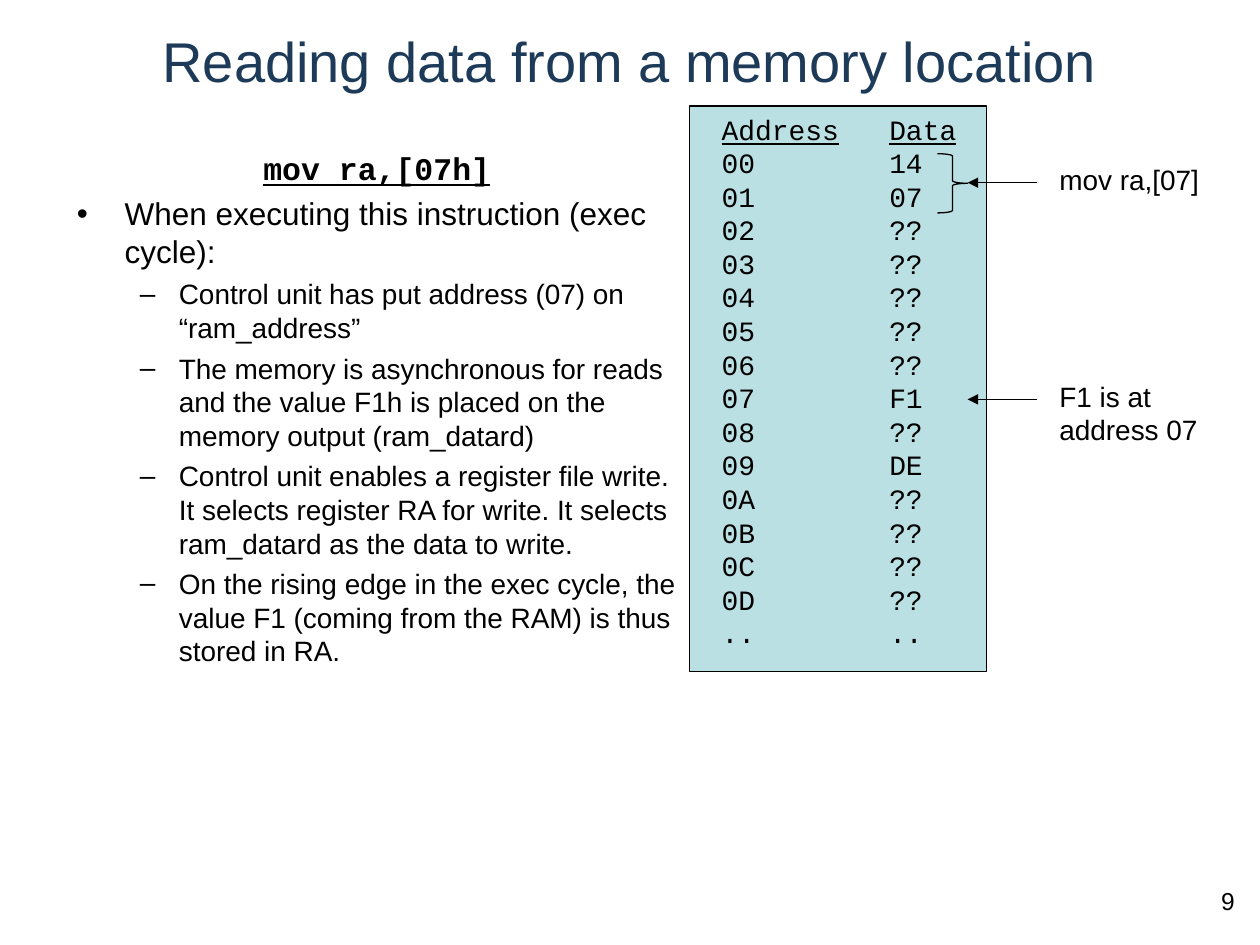
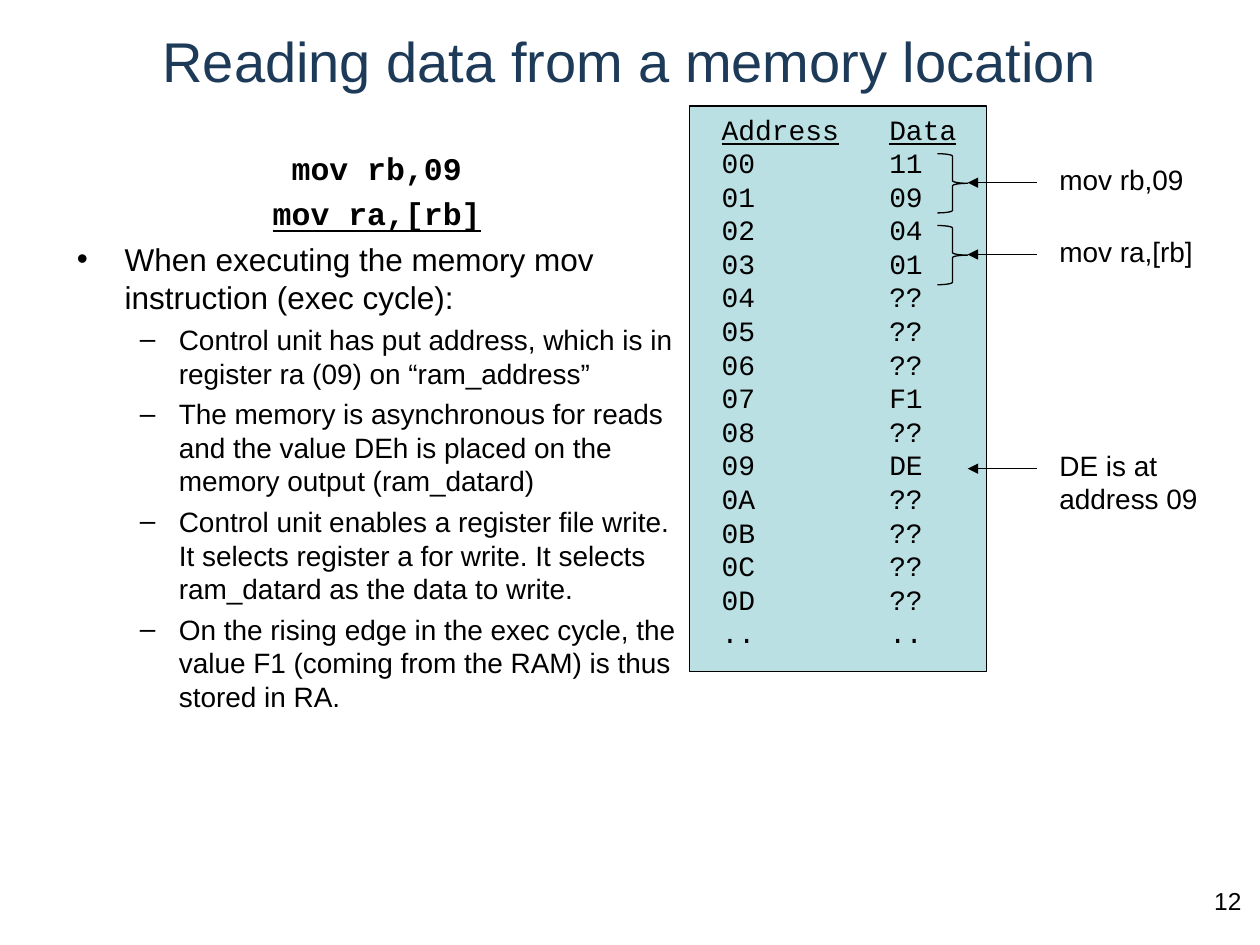
from lxml import etree
from pptx import Presentation
from pptx.dml.color import RGBColor
from pptx.enum import shapes, text
from pptx.oxml import ns
from pptx.util import Inches, Pt

HUES = {"title": "1D3B59", "ink": "000000", "memory": "BBE0E3"}
SANS, MONO = "Arial", "Courier New"


def add(parent, tag, **attrs):
    return etree.SubElement(parent, ns.qn(tag), attrs)


def write(frame, words, size=16, font=SANS, hue="ink", bold=False, under=False,
          align=text.PP_ALIGN.LEFT, level=0, before=0, indent=None, bullet=None, tab=None):
    par = frame.paragraphs[0]
    if par.runs:
        par = frame.add_paragraph()
        par.space_before = Pt(before)
    else:
        par.space_before = Pt(0)
    par.alignment = align
    par.level = level
    props = par._p.get_or_add_pPr()
    if indent:
        left, hang = indent
        props.set("marL", str(Inches(left)))
        props.set("indent", str(Inches(-hang)))
    if bullet:
        add(add(props, "a:buClr"), "a:srgbClr", val=HUES["ink"])
        add(props, "a:buFont", typeface=SANS)
        add(props, "a:buChar", char=bullet)
    else:
        add(props, "a:buNone")
    if tab:
        add(add(props, "a:tabLst"), "a:tab", pos=str(Inches(tab)), algn="l")
    run = par.add_run()
    run.text = words
    run.font.name = font
    run.font.size = Pt(size)
    run.font.bold = bold
    run.font.underline = under
    run.font.color.rgb = RGBColor.from_string(HUES[hue])


ink = RGBColor.from_string(HUES["ink"])
mid = text.PP_ALIGN.CENTER
ASYNC = "The memory is asynchronous for reads and the value {} is placed on the memory output (ram_datard)"
ENABLE = ("Control unit enables a register file write. It selects register {} for write. "
          "It selects ram_datard as the data to write.")
EDGE = "On the rising edge in the exec cycle, the value F1 (coming from the RAM) is thus stored in RA."
CELLS = {"07": "F1", "09": "DE", "..": ".."}
ROWS = [f"{n:02X}" for n in range(14)] + [".."]

decks = [
    {
        "page": "9",
        "code": ["mov ra,[07h]"],
        "lead": "When executing this instruction (exec cycle):",
        "steps": ["Control unit has put address (07) on “ram_address”",
                  ASYNC.format("F1h"), ENABLE.format("RA"), EDGE],
        "cells": {"00": "14", "01": "07"},
        "marks": [("mov ra,[07]", 1.45, True), ("F1 is at address 07", 3.17, False)],
    },
    {
        "page": "12",
        "code": ["mov rb,09", "mov ra,[rb]"],
        "lead": "When executing the memory mov instruction (exec cycle):",
        "steps": ["Control unit has put address, which is in register ra (09) on “ram_address”",
                  ASYNC.format("DEh"), ENABLE.format("a"), EDGE],
        "cells": {"00": "11", "01": "09", "02": "04", "03": "01"},
        "marks": [("mov rb,09", 1.45, True), ("DE is at address 09", 3.72, False),
                  ("mov ra,[rb]", 2.02, True)],
    },
]

prs = Presentation()
prs.slide_width, prs.slide_height = Inches(10), Inches(7.5)

for deck in decks:
    slide = prs.slides.add_slide(prs.slide_layouts[1])
    items = slide.shapes

    page = items.add_textbox(Inches(9.49), Inches(6.98), Inches(0.51), Inches(0.52))
    page.text_frame.word_wrap = True
    write(page.text_frame, deck["page"], size=14, align=mid)

    title, body = items.title, slide.placeholders[1]
    title.left, title.top, title.width, title.height = map(Inches, (0.59, 0.13, 8.82, 0.69))
    body.left, body.top, body.width, body.height = map(Inches, (0.51, 1.07, 4.96, 5.63))
    for holder in (title, body):
        holder.text_frame.auto_size = text.MSO_AUTO_SIZE.NONE
    title.text_frame.vertical_anchor = text.MSO_ANCHOR.MIDDLE
    write(title.text_frame, "Reading data from a memory location", size=32, hue="title", align=mid)

    frame = body.text_frame
    frame.margin_top = Inches(0.11)
    for line in deck["code"]:
        write(frame, line, size=18, font=MONO, bold=True, under=line == deck["code"][-1],
              align=mid, before=4.5, indent=(0.38, 0.38))
    write(frame, deck["lead"], size=18, before=4.5, indent=(0.38, 0.38), bullet="•")
    for step in deck["steps"]:
        write(frame, step, level=1, before=4, indent=(0.81, 0.31), bullet="–")

    box = items.add_shape(shapes.MSO_SHAPE.RECTANGLE, Inches(5.47), Inches(0.84), Inches(2.36), Inches(4.49))
    box.shadow.inherit = False
    box.fill.solid()
    box.fill.fore_color.rgb = RGBColor.from_string(HUES["memory"])
    box.line.color.rgb = ink
    box.line.width = Pt(0.75)

    dump = items.add_textbox(Inches(5.63), Inches(0.84), Inches(2.07), Inches(4.49))
    dump.text_frame.word_wrap = True
    write(dump.text_frame, "Address\tData", font=MONO, under=True, tab=1.33)
    cells = {**CELLS, **deck["cells"]}
    for row in ROWS:
        write(dump.text_frame, f"{row}\t{cells.get(row, '??')}", font=MONO, tab=1.33)

    for label, y, braced in deck["marks"]:
        arrow = items.add_connector(shapes.MSO_CONNECTOR.STRAIGHT, Inches(8.23), Inches(y), Inches(7.68), Inches(y))
        arrow.line.color.rgb = ink
        arrow.line.width = Pt(0.75)
        add(arrow.line._get_or_add_ln(), "a:tailEnd", type="triangle")
        add(arrow._element.spPr, "a:effectLst")
        if braced:
            brace = items.add_shape(shapes.MSO_SHAPE.RIGHT_BRACE, Inches(7.44), Inches(y - 0.23),
                                    Inches(0.24), Inches(0.47))
            brace.shadow.inherit = False
            brace.fill.background()
            brace.line.color.rgb = ink
            brace.line.width = Pt(0.75)
        note = items.add_textbox(Inches(8.31), Inches(y - 0.21), Inches(1.57),
                                 Inches(0.37 if braced else 0.64))
        note.text_frame.word_wrap = True
        write(note.text_frame, label)

prs.save("out.pptx")
